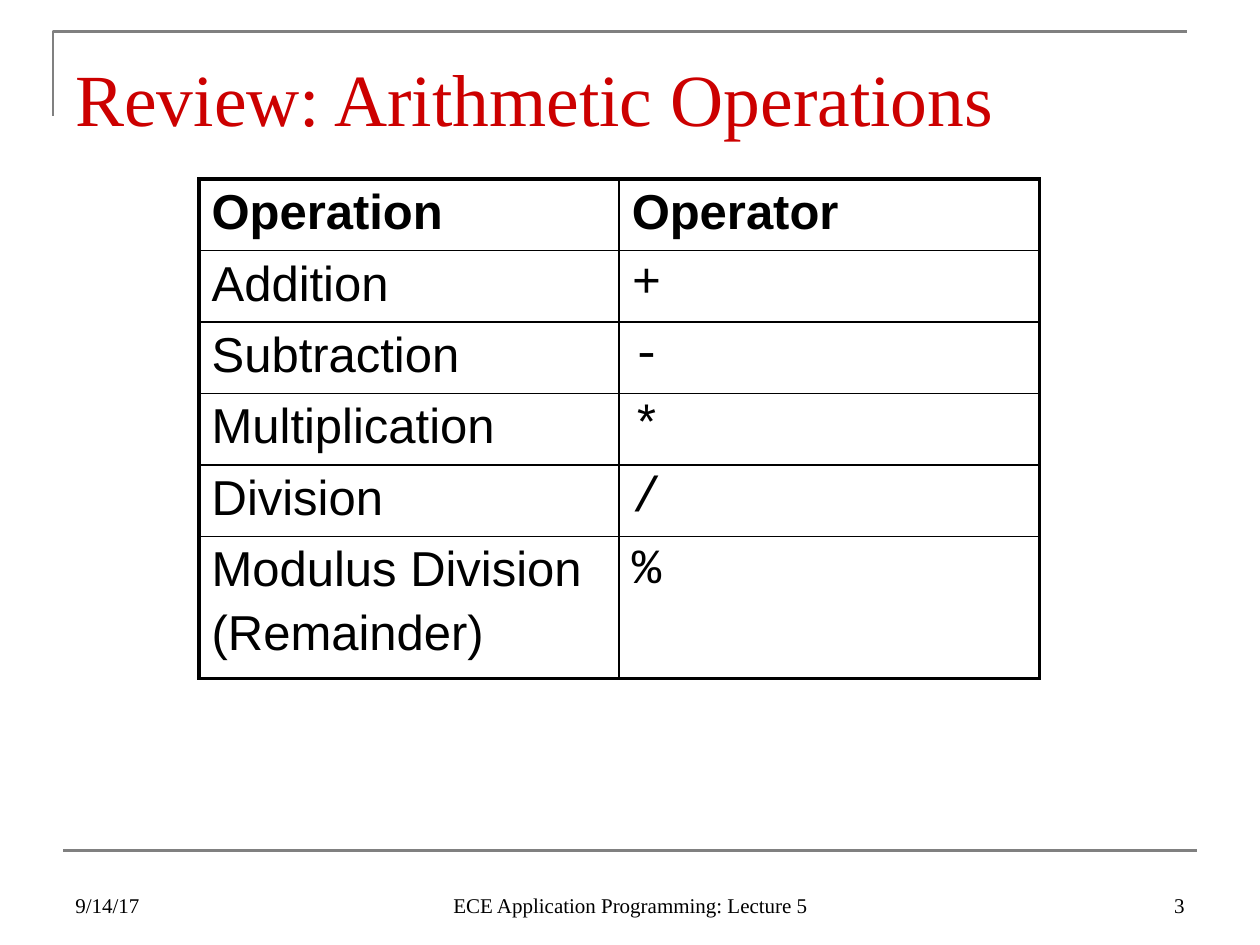
import pptx
import pptx.util
import pptx.dml.color
import pptx.enum.shapes
import pptx.enum.text
import pptx.oxml
import pptx.oxml.ns
from lxml import etree

Inches, Pt = pptx.util.Inches, pptx.util.Pt
ALIGN, ANCHOR = pptx.enum.text.PP_ALIGN, pptx.enum.text.MSO_ANCHOR

COLORS = {"rule": "808080", "title": "CC0000", "text": "000000"}
SERIF, SANS, MONO = "Times New Roman", "Arial", "Courier New"

TITLE = "Review: Arithmetic Operations"
ROWS = [
    ("Operation", "Operator"),
    ("Addition", "+"),
    ("Subtraction", "-"),
    ("Multiplication", "*"),
    ("Division", "/"),
    ("Modulus Division\n(Remainder)", "%"),
]
# text, left, width, alignment
FOOTER = [
    ("9/14/17", 0.5, 2.33, ALIGN.LEFT),
    ("ECE Application Programming: Lecture 5", 3.42, 3.17, ALIGN.CENTER),
    ("3", 7.17, 2.33, ALIGN.RIGHT),
]
TABLE = {"left": 1.58, "top": 1.42, "col": 3.335, "row": 0.565}
THICK, THIN = 2.25, 1


def rgb(name):
    return pptx.dml.color.RGBColor.from_string(COLORS[name])


def write(frame, text, align=ALIGN.LEFT, gap=0, color="text", **font):
    """Fill a frame, one paragraph per line, with gap points between them."""
    for i, line in enumerate(text.split("\n")):
        para = frame.add_paragraph() if i else frame.paragraphs[0]
        para.alignment = align
        if i:
            para.space_before = Pt(gap)
        run = para.add_run()
        run.text = line
        run.font.color.rgb = rgb(color)
        for key, value in font.items():
            setattr(run.font, key, value)


def add_text(slide, box, text, anchor, inset=0.05, **style):
    frame = slide.shapes.add_textbox(*map(Inches, box)).text_frame
    frame.word_wrap = True
    frame.vertical_anchor = anchor
    frame.margin_top = Inches(inset)
    write(frame, text, **style)


def add_rules(slide):
    pen = slide.shapes.build_freeform(Inches(0.42), Inches(0.92))
    pen.add_line_segments(
        [(Inches(0.42), Inches(0.25)), (Inches(9.42), Inches(0.25))], close=False)
    frame = pen.convert_to_shape()
    frame.shadow.inherit = False
    frame.fill.background()
    base = slide.shapes.add_connector(
        pptx.enum.shapes.MSO_CONNECTOR.STRAIGHT,
        Inches(0.5), Inches(6.75), Inches(9.5), Inches(6.75))
    etree.SubElement(base._element.spPr, pptx.oxml.ns.qn("a:effectLst"))
    for shape in (frame, base):
        shape.line.color.rgb = rgb("rule")
        shape.line.width = Pt(1.5)


def set_edges(cell, outer):
    """Draw the four borders; those on the table's outside are thick."""
    props = cell._tc.get_or_add_tcPr()
    for i, side in enumerate("LRTB"):
        width = Pt(THICK if side in outer else THIN)
        props.insert(i, pptx.oxml.parse_xml(
            f'<a:ln{side} {pptx.oxml.ns.nsdecls("a")} w="{width}"><a:solidFill>'
            f'<a:srgbClr val="{COLORS["text"]}"/></a:solidFill></a:ln{side}>'))


def add_grid(slide):
    lines = [row[0].count("\n") + 1 for row in ROWS]
    cols = len(ROWS[0])
    left, top, col, row = (Inches(TABLE[k]) for k in ("left", "top", "col", "row"))
    grid = slide.shapes.add_table(
        len(ROWS), cols, left, top, col * cols, row * sum(lines)).table
    grid.first_row = grid.horz_banding = False
    for item in grid.columns:
        item.width = col
    for r, texts in enumerate(ROWS):
        grid.rows[r].height = row * lines[r]
        for c, text in enumerate(texts):
            cell = grid.cell(r, c)
            cell.fill.background()
            write(cell.text_frame, text, gap=5, size=Pt(28), bold=r == 0,
                  name=MONO if r and c else SANS)
            tests = {"L": c == 0, "R": c == cols - 1,
                     "T": r == 0, "B": r == len(ROWS) - 1}
            set_edges(cell, [side for side, hit in tests.items() if hit])


def main():
    deck = pptx.Presentation()
    deck.slide_width, deck.slide_height = Inches(10), Inches(7.5)
    slide = deck.slides.add_slide(deck.slide_layouts[6])
    add_rules(slide)
    add_text(slide, (0.5, 0.3, 9, 0.78), TITLE, ANCHOR.TOP, inset=0.12,
             color="title", name=SERIF, size=Pt(42))
    add_grid(slide)
    for text, left, width, align in FOOTER:
        add_text(slide, (left, 6.83, width, 0.5), text, ANCHOR.BOTTOM,
                 align=align, name=SERIF, size=Pt(12))
    deck.save("out.pptx")


if __name__ == "__main__":
    main()
